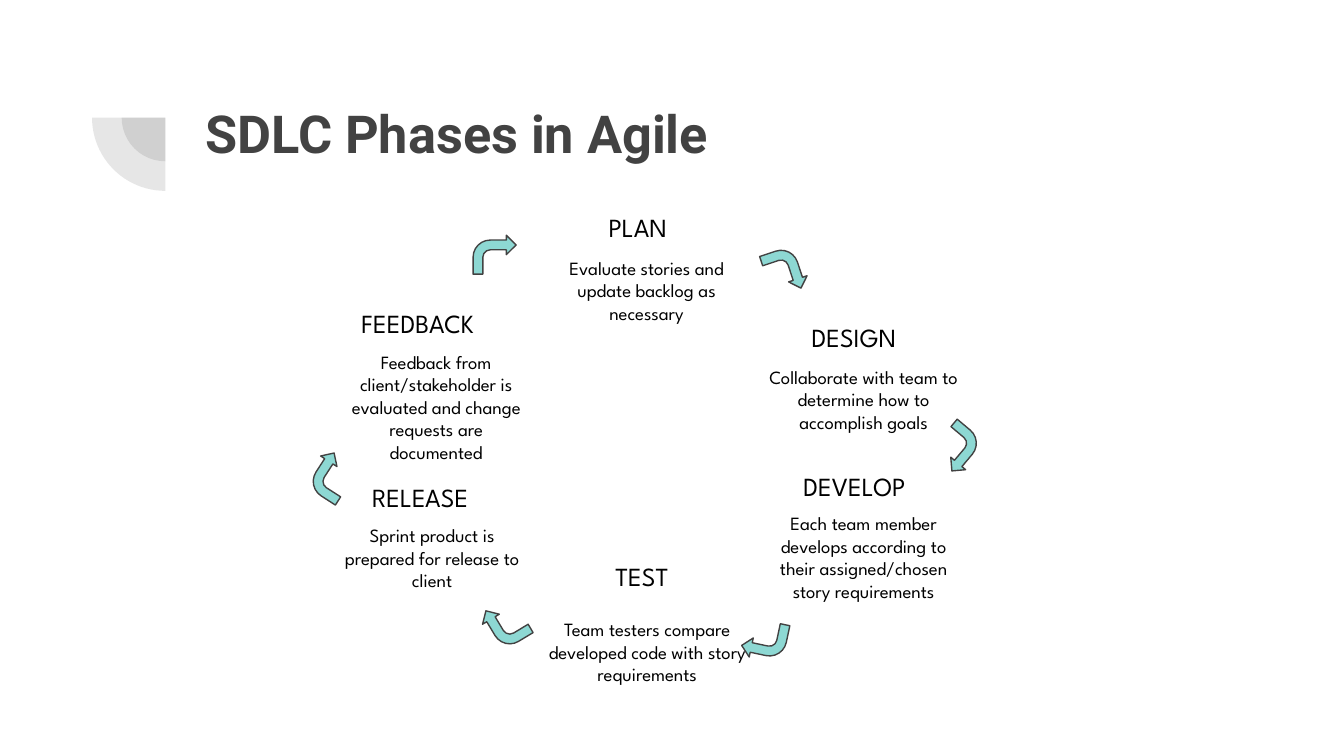
import pptx
import pptx.dml.color
import pptx.enum.shapes
import pptx.enum.text
import pptx.oxml
import pptx.oxml.ns
import pptx.util

SHAPE = pptx.enum.shapes.MSO_SHAPE
ALIGN = pptx.enum.text.PP_ALIGN
AUTO_SIZE = pptx.enum.text.MSO_AUTO_SIZE

# The slide is a grid of square cells, 100 columns wide
COLUMNS, ROWS = 100, 56.25
CELL = pptx.util.Inches(0.1)

GREY, BLACK, TEAL = "424242", "000000", "8DD8D3"
color = pptx.dml.color.RGBColor.from_string

deck = pptx.Presentation()
deck.slide_width, deck.slide_height = int(COLUMNS * CELL), int(ROWS * CELL)
slide = deck.slides.add_slide(deck.slide_layouts[6])


def add_text(words, box, size, font, ink, align=ALIGN.LEFT, bold=False, grow=True):
    label = slide.shapes.add_textbox(*(int(n * CELL) for n in box))
    frame = label.text_frame
    frame.word_wrap = True
    frame.auto_size = AUTO_SIZE.SHAPE_TO_FIT_TEXT if grow else AUTO_SIZE.NONE
    frame.margin_left = frame.margin_right = CELL
    frame.margin_top = frame.margin_bottom = CELL
    frame.text = words
    paragraph = frame.paragraphs[0]
    paragraph.alignment = align
    letters = paragraph.runs[0].font
    letters.size, letters.name, letters.bold = pptx.util.Pt(size), font, bold
    letters.color.rgb = color(ink)


def add_figure(preset, box, turn, fill):
    figure = slide.shapes.add_shape(preset, *(int(n * CELL) for n in box))
    figure.shadow.inherit = False
    figure.rotation = turn
    figure.fill.solid()
    figure.fill.fore_color.rgb = color(fill)
    return figure


# Two translucent quarter circles around one centre
center_column, center_row = 12.3, 8.75
for diameter in (6.5, 10.9):
    quarter = add_figure(SHAPE.PIE, (center_column - diameter / 2, center_row - diameter / 2,
                                     diameter, diameter), 270, GREY)
    quarter.adjustments[0], quarter.adjustments[1] = 108, 162
    quarter.line.fill.background()
    tint = quarter.fill._xPr.find(".//" + pptx.oxml.ns.qn("a:srgbClr"))
    tint.append(pptx.oxml.parse_xml(
        f'<a:alpha {pptx.oxml.ns.nsdecls("a")} val="13000"/>'))

# Title
add_text("SDLC Phases in Agile", (14.3, 6.5, 76.9, 10.9), 28, "Roboto", GREY,
         bold=True, grow=False)

# Phases, clockwise: heading and its box, description and its box
phases = [
    ("PLAN", (44.3, 14.7, 7.6, 4.4),
     "Evaluate stories and update backlog as necessary", (40.5, 18.1, 15.2, 7.1)),
    ("DESIGN", (59.4, 22.9, 9.7, 4.4),
     "Collaborate with team to determine how to accomplish goals", (56.2, 26.2, 16.1, 7.1)),
    ("DEVELOP", (58.8, 34, 11, 4.4),
     "Each team member develops according to their assigned/chosen story requirements",
     (56.2, 37.1, 16.1, 8.8)),
    ("TEST", (44.8, 40.7, 7.1, 4.4),
     "Team testers compare developed code with story requirements", (39.7, 45, 16.9, 7.1)),
    ("RELEASE", (26.7, 34.8, 11, 4.4),
     "Sprint product is prepared for release to client", (24.1, 38, 16.1, 7.1)),
    ("FEEDBACK", (25.9, 21.9, 12.5, 4.4),
     "Feedback from client/stakeholder is evaluated and change requests are documented",
     (24.4, 25.1, 16.1, 10.4)),
]
for heading, heading_box, description, description_box in phases:
    add_text(heading, heading_box, 14, "League Spartan", BLACK)
    add_text(description, description_box, 10, "League Spartan", BLACK, ALIGN.CENTER)

# Arrows from each phase to the next: column, row, rotation
steps = [(56.8, 18.7, 71.6), (69.7, 31.9, 130.1), (55.3, 46.2, 192),
         (36, 45, 239), (23, 34, 302.8), (35.2, 17.5, 0)]
for column, row, turn in steps:
    arrow = add_figure(SHAPE.BENT_ARROW, (column, row, 3.2, 2.9), turn, TEAL)
    for index, share in enumerate((0.25, 0.25, 0.25, 0.44)):
        arrow.adjustments[index] = share
    arrow.line.color.rgb = color(GREY)
    arrow.line.width = pptx.util.Pt(0.75)

deck.save("out.pptx")
